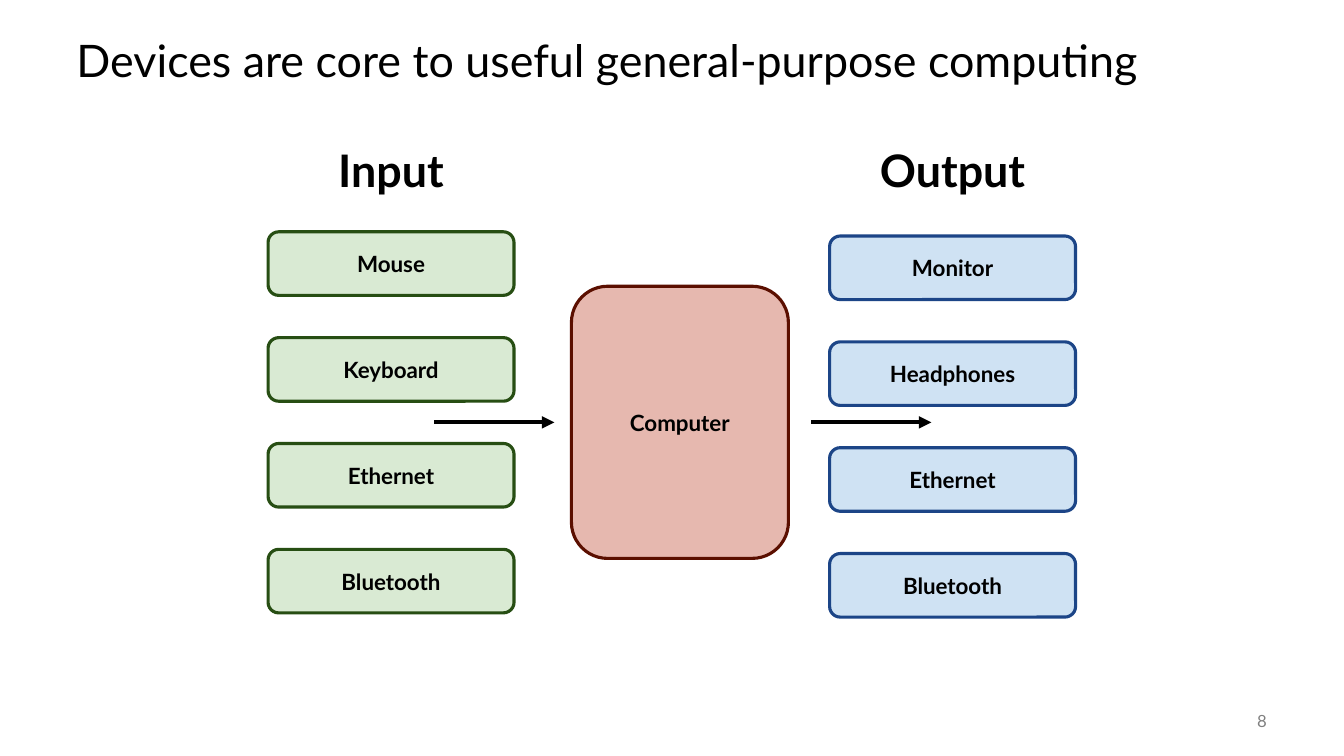
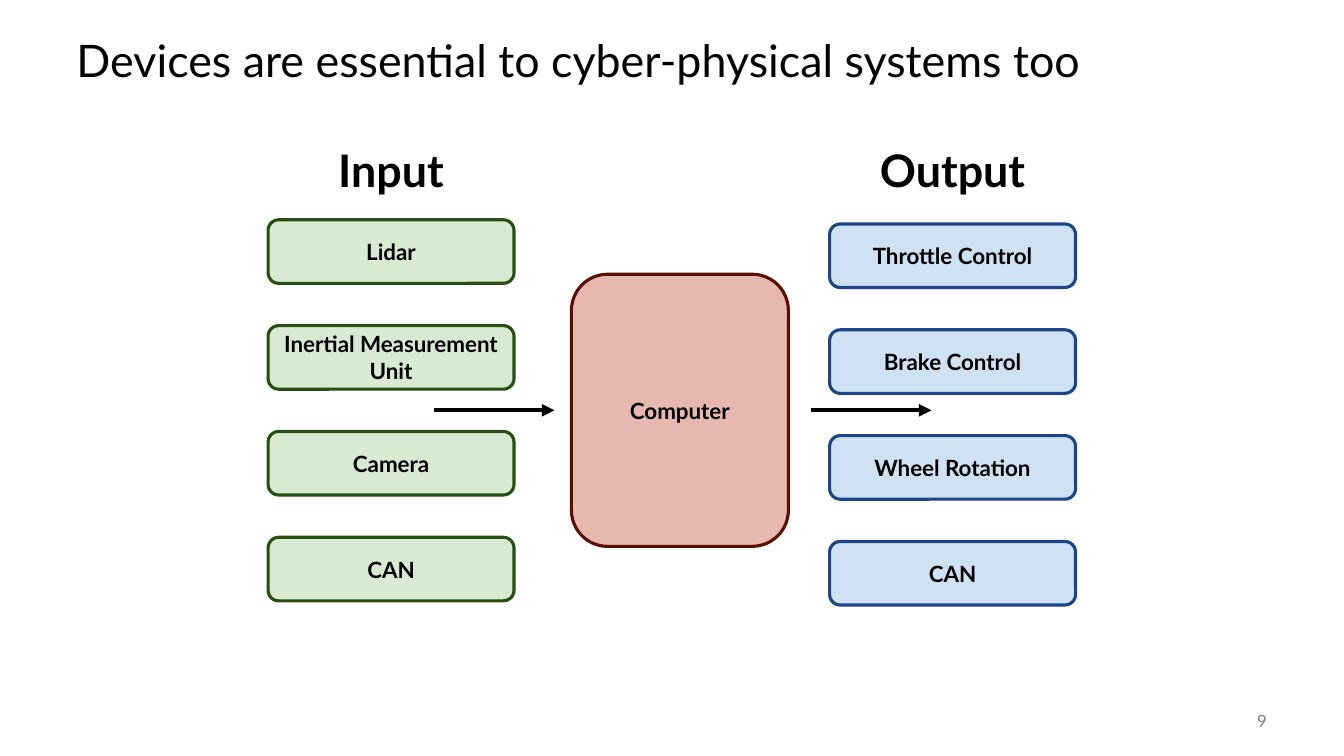
from pptx import Presentation
from pptx.dml.color import RGBColor
from pptx.enum import shapes, text
from pptx.oxml.ns import qn
from pptx.util import Pt
from lxml import etree

FONT = "Lato"
BLACK = RGBColor(0x00, 0x00, 0x00)
GRAY = RGBColor(0x80, 0x80, 0x80)
GREEN = RGBColor(0xD9, 0xEA, 0xD3), RGBColor(0x27, 0x4E, 0x13)
BLUE = RGBColor(0xCF, 0xE2, 0xF3), RGBColor(0x1C, 0x45, 0x87)
RED = RGBColor(0xE6, 0xB8, 0xAF), RGBColor(0x5B, 0x0F, 0x00)
LEFT, MID, RIGHT = text.PP_ALIGN.LEFT, text.PP_ALIGN.CENTER, text.PP_ALIGN.RIGHT

# Title, page number, top of the diagram, inputs, outputs
SLIDES = [
    ("Devices are core to useful general-purpose computing", 8, 165.6,
     ["Mouse", "Keyboard", "Ethernet", "Bluetooth"],
     ["Monitor", "Headphones", "Ethernet", "Bluetooth"]),
    ("Devices are essential to cyber-physical systems too", 9, 157,
     ["Lidar", "Inertial Measurement Unit", "Camera", "CAN"],
     ["Throttle Control", "Brake Control", "Wheel Rotation", "CAN"]),
]

# Heading, left edge, drop below the diagram top, colours
COLUMNS = [("Input", 191.5, 0, GREEN), ("Output", 592.6, 3, BLUE)]
BOX_W, BOX_H, PITCH = 175.7, 45.4, 75.6
HEAD_Y, HEAD_H = 98.6, 46
CORE_X, CORE_DROP, CORE_W, CORE_H = 408.2, 38.9, 155, 194.4
ARROWS, ARROW_W = [310.3, 579.6], 85.7


def write(frame, words, size, color=BLACK, bold=False, align=LEFT,
          anchor=text.MSO_ANCHOR.MIDDLE):
    frame.word_wrap = True
    frame.vertical_anchor = anchor
    para = frame.paragraphs[0]
    para.alignment = align
    run = para.add_run()
    run.text = words
    font = run.font
    font.name, font.size, font.bold = FONT, Pt(size), bold
    font.color.rgb = color
    return para


def add_text(slide, place, words, size, **style):
    box = slide.shapes.add_textbox(*map(Pt, place))
    return write(box.text_frame, words, size, **style)


def add_box(slide, place, words, colors):
    box = slide.shapes.add_shape(
        shapes.MSO_SHAPE.ROUNDED_RECTANGLE, *map(Pt, place))
    box.shadow.inherit = False
    box.fill.solid()
    box.fill.fore_color.rgb, box.line.color.rgb = colors
    box.line.width = Pt(2.25)
    frame = box.text_frame
    frame.margin_top = frame.margin_bottom = Pt(7.2)
    write(frame, words, 16, bold=True, align=MID)


def add_arrow(slide, x, y):
    arrow = slide.shapes.add_connector(
        shapes.MSO_CONNECTOR.STRAIGHT, Pt(x), Pt(y), Pt(x + ARROW_W), Pt(y))
    arrow.line.color.rgb = BLACK
    arrow.line.width = Pt(3)
    etree.SubElement(arrow.line._get_or_add_ln(), qn("a:tailEnd"), type="triangle")
    etree.SubElement(arrow._element.spPr, qn("a:effectLst"))


def add_frame(slide, title, page):
    """Add the title and page number that every slide carries."""
    para = add_text(slide, (47.5, 18, 864, 54), title, 32)
    para.line_spacing = 0.9
    add_text(slide, (840, 500.4, 72, 28.8), str(page), 12, color=GRAY, align=RIGHT)


def add_diagram(slide, top, lists):
    core_y = top + CORE_DROP
    add_box(slide, (CORE_X, core_y, CORE_W, CORE_H), "Computer", RED)
    for (head, x, drop, colors), names in zip(COLUMNS, lists):
        for row, name in enumerate(names):
            add_box(slide, (x, top + drop + row * PITCH, BOX_W, BOX_H), name, colors)
        add_text(slide, (x, HEAD_Y, BOX_W, HEAD_H), head, 32, bold=True,
                 align=MID, anchor=text.MSO_ANCHOR.TOP)
    for x in ARROWS:
        add_arrow(slide, x, core_y + CORE_H / 2)


def main():
    deck = Presentation()
    deck.slide_width, deck.slide_height = Pt(960), Pt(540)
    for title, page, top, *lists in SLIDES:
        slide = deck.slides.add_slide(deck.slide_layouts[6])
        add_frame(slide, title, page)
        add_diagram(slide, top, lists)
    deck.save("out.pptx")


if __name__ == "__main__":
    main()
